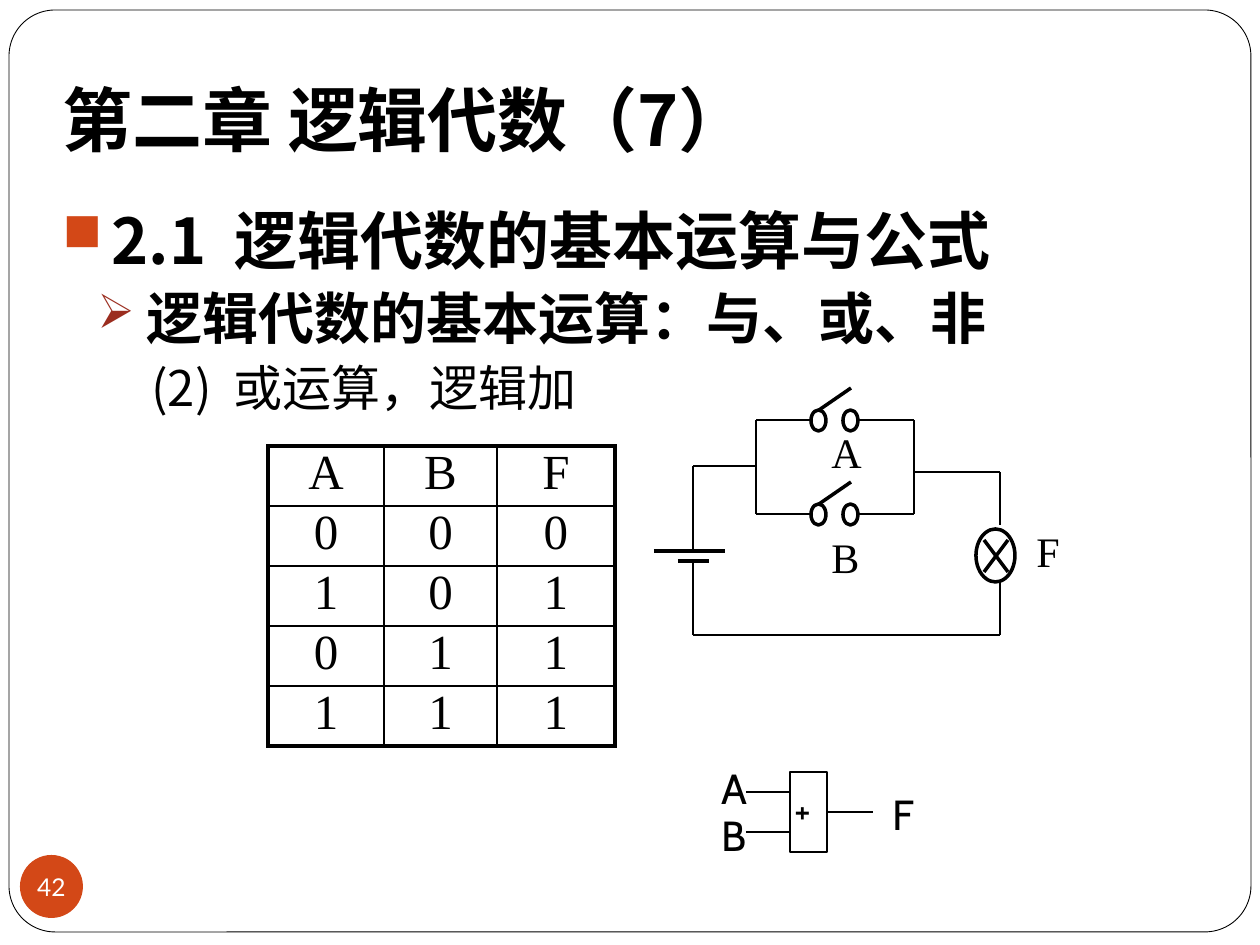
from lxml.etree import SubElement
from pptx import Presentation
from pptx.dml.color import RGBColor
from pptx.enum.shapes import MSO_CONNECTOR, MSO_SHAPE
from pptx.enum.text import MSO_ANCHOR, PP_ALIGN
from pptx.oxml import parse_xml
from pptx.oxml.ns import nsdecls, qn
from pptx.util import Pt

PX = 914400 / 126
BLACK = RGBColor(0x00, 0x00, 0x00)
WHITE = RGBColor(0xFF, 0xFF, 0xFF)
ORANGE = RGBColor(0xD3, 0x48, 0x17)
DARK_RED = RGBColor(0x9B, 0x2D, 0x1F)
CJK, SERIF, SANS = "Noto Sans CJK JP", "Times New Roman", "Cabin"
THIN, THICK, TABLE_THIN, TABLE_THICK = 0.75, 2, 1, 2.25

TITLE = "第二章 逻辑代数（7）"
OUTLINE = [
    {"text": "2.1  逻辑代数的基本运算与公式", "size": 36, "bold": True, "before": 5.8,
     "margin": 49, "indent": -49, "bullet": ("■", ORANGE)},
    {"text": "逻辑代数的基本运算：与、或、非", "size": 32, "bold": True, "before": 3.7,
     "margin": 84, "indent": -49, "bullet": ("➢", DARK_RED)},
    {"text": "(2)  或运算，逻辑加", "size": 28, "bold": False, "before": 3.7,
     "margin": 89, "indent": 0, "bullet": None},
]
TRUTH_TABLE = ["ABF", "000", "101", "011", "111"]
COLUMN_WIDTHS = [116, 113, 118]
ROW_HEIGHT = 60

SWITCH_TOPS = [410, 504]
RAIL_LEFT, RAIL_RIGHT = 756, 914
BATTERY_X, LAMP_X, BOTTOM_Y = 693, 1000, 635
LAMP = (976, 529, 39, 53)
GATE = (790, 772, 37, 80)
CIRCUIT_WIRES = [
    (RAIL_LEFT, 420, RAIL_LEFT, 514),
    (RAIL_RIGHT, 420, RAIL_RIGHT, 514),
    (RAIL_RIGHT, 472, LAMP_X, 472),
    (LAMP_X, 472, LAMP_X, 525),
    (LAMP_X, 582, LAMP_X, BOTTOM_Y),
    (LAMP_X, BOTTOM_Y, BATTERY_X, BOTTOM_Y),
    (BATTERY_X, BOTTOM_Y, BATTERY_X, 561),
    (BATTERY_X, 551, BATTERY_X, 466),
    (BATTERY_X, 466, RAIL_LEFT, 466),
]
THICK_STROKES = [
    (654, 551, 725, 551),
    (678, 561, 709, 561),
    (984, 540, 1008, 572),
    (1008, 540, 984, 572),
]
GATE_INPUTS = [(746, 792, 790, 792), (746, 832, 790, 832)]
LABELS = [
    ("A", (819, 420, 55, 64), 24, SERIF),
    ("B", (819, 525, 55, 64), 24, SERIF),
    ("F", (1024, 519, 55, 64), 24, SERIF),
    ("A", (709, 756, 38, 64), 24, SANS),
    ("B", (709, 803, 38, 64), 24, SANS),
    ("F", (880, 782, 38, 64), 24, SANS),
    ("+", (782, 782, 45, 55), 20, SANS),
]


def px(*values):
    return [round(value * PX) for value in values]


def set_format(target, **values):
    for name, value in values.items():
        setattr(target, name, value)


def write(para, text, size, font, color=BLACK, bold=False):
    span = para.add_run()
    span.text = text
    set_format(span.font, size=Pt(size), name=font, bold=bold)
    span.font.color.rgb = color
    if font == CJK:
        SubElement(span.font._element, qn("a:ea"), typeface=font)


def add_box(page, area, **frame_format):
    box = page.shapes.add_textbox(*px(*area))
    set_format(box.text_frame, word_wrap=True, **frame_format)
    return box.text_frame


def add_outline(page, kind, area, fill=None, width=None):
    shape = page.shapes.add_shape(kind, *px(*area))
    shape.shadow.inherit = False
    if fill is None:
        shape.fill.background()
    else:
        shape.fill.solid()
        shape.fill.fore_color.rgb = fill
    if width is None:
        shape.line.fill.background()
    else:
        shape.line.color.rgb = BLACK
        shape.line.width = Pt(width)
    return shape


def add_wire(page, ends, width=THIN):
    wire = page.shapes.add_connector(MSO_CONNECTOR.STRAIGHT, *px(*ends))
    wire.line.color.rgb = BLACK
    wire.line.width = Pt(width)
    SubElement(wire._element.spPr, qn("a:effectLst"))
    return wire


def add_outline_text(page):
    frame = add_box(page, (50, 195, 1071, 635))
    for number, item in enumerate(OUTLINE):
        para = frame.add_paragraph() if number else frame.paragraphs[0]
        para.space_before = Pt(item["before"])
        write(para, item["text"], item["size"], CJK, bold=item["bold"])
        margin, indent = px(item["margin"], item["indent"])
        properties = para._p.get_or_add_pPr()
        properties.set("marL", str(margin))
        properties.set("indent", str(indent))
        if item["bullet"]:
            mark, color = item["bullet"]
            tint = SubElement(properties, qn("a:buClr"))
            SubElement(tint, qn("a:srgbClr"), val=str(color))
            SubElement(properties, qn("a:buSzPct"), val="85000")
            SubElement(properties, qn("a:buChar"), char=mark)


def set_borders(cell, widths):
    properties = cell._tc.get_or_add_tcPr()
    for place, (side, width) in enumerate(widths.items()):
        properties.insert(place, parse_xml(
            f'<a:ln{side} {nsdecls("a")} w="{Pt(width)}"><a:solidFill>'
            f'<a:srgbClr val="{BLACK}"/></a:solidFill></a:ln{side}>'))


def add_truth_table(page):
    rows, columns = len(TRUTH_TABLE), len(COLUMN_WIDTHS)
    area = px(268, 446, sum(COLUMN_WIDTHS), rows * ROW_HEIGHT)
    table = page.shapes.add_table(rows, columns, *area).table
    set_format(table, first_row=False, horz_banding=False)
    for column, width in zip(table.columns, COLUMN_WIDTHS):
        column.width = px(width)[0]
    for r, values in enumerate(TRUTH_TABLE):
        table.rows[r].height = px(ROW_HEIGHT)[0]
        for c, value in enumerate(values):
            cell = table.cell(r, c)
            side_margin = px(9)[0]
            set_format(cell, margin_left=side_margin, margin_right=side_margin,
                       margin_top=0, margin_bottom=0)
            cell.fill.background()
            para = cell.text_frame.paragraphs[0]
            para.alignment = PP_ALIGN.CENTER
            write(para, value, 28, SERIF)
            outer = {"L": c == 0, "R": c == columns - 1, "T": r == 0, "B": r == rows - 1}
            set_borders(cell, {side: TABLE_THICK if edge else TABLE_THIN
                               for side, edge in outer.items()})


def add_circuit(page):
    for top in SWITCH_TOPS:
        for left in (811, 843):
            add_outline(page, MSO_SHAPE.OVAL, (left, top, 15, 21), width=THICK)
        add_wire(page, (819, top, 851, top - 22), THICK)
        add_wire(page, (RAIL_LEFT, top + 10, 811, top + 10))
        add_wire(page, (858, top + 10, RAIL_RIGHT, top + 10))
    add_outline(page, MSO_SHAPE.OVAL, LAMP, width=THICK)
    for ends in CIRCUIT_WIRES:
        add_wire(page, ends)
    for ends in THICK_STROKES:
        add_wire(page, ends, THICK)


def add_gate(page):
    gate = add_outline(page, MSO_SHAPE.RECTANGLE, GATE, width=THIN)
    for ends in GATE_INPUTS:
        add_wire(page, ends)
    add_wire(page, (827, 812, 873, 812)).begin_connect(gate, 3)


def main():
    """Build the slide on the logical OR operation."""
    deck = Presentation()
    deck.slide_width, deck.slide_height = px(1260, 945)
    page = deck.slides.add_slide(deck.slide_layouts[6])
    border = add_outline(page, MSO_SHAPE.ROUNDED_RECTANGLE, (9, 10, 1242, 922), WHITE, 0.5)
    border.adjustments[0] = 0.05
    title = add_box(page, (50, 38, 1071, 136), vertical_anchor=MSO_ANCHOR.BOTTOM,
                    margin_bottom=px(13)[0])
    write(title.paragraphs[0], TITLE, 40, CJK, bold=True)
    badge = add_outline(page, MSO_SHAPE.OVAL, (20, 855, 63, 63), ORANGE).text_frame
    set_format(badge, margin_left=0, margin_right=0, margin_top=0, margin_bottom=0,
               word_wrap=False, vertical_anchor=MSO_ANCHOR.MIDDLE)
    badge.paragraphs[0].alignment = PP_ALIGN.CENTER
    write(badge.paragraphs[0], "42", 14, "Lato", WHITE)
    add_outline_text(page)
    add_truth_table(page)
    add_circuit(page)
    add_gate(page)
    for text, area, size, font in LABELS:
        para = add_box(page, area).paragraphs[0]
        para.space_before = Pt(3)
        write(para, text, size, font)
    deck.save("out.pptx")


if __name__ == "__main__":
    main()
